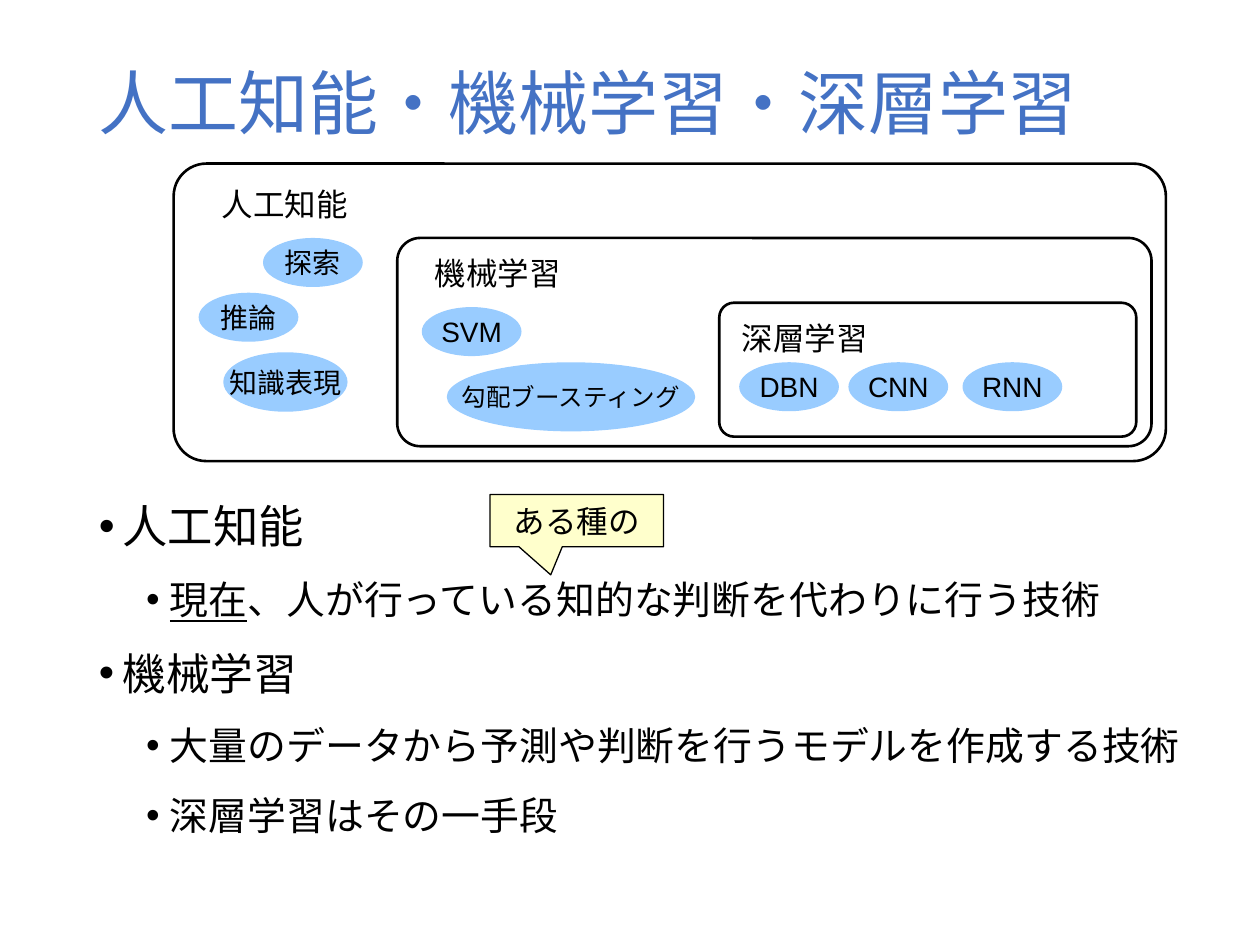
import pptx
import pptx.util
import pptx.dml.color
import pptx.enum.shapes
import pptx.enum.text
import lxml.etree

Pt = pptx.util.Pt
SHAPE = pptx.enum.shapes.MSO_SHAPE
ALIGN = pptx.enum.text.PP_ALIGN
ANCHOR = pptx.enum.text.MSO_ANCHOR
COLORS = {"title": "4472C4", "ink": "000000", "oval": "99CCFF", "note": "FFFFCC"}
SANS, CJK = "Arial", "Noto Sans CJK JP"


class Deck:
    def __init__(self, wide, high):
        self.file = pptx.Presentation()
        self.file.slide_width, self.file.slide_height = Pt(wide), Pt(high)
        self.slide = self.file.slides.add_slide(self.file.slide_layouts[6])

    def color(self, name):
        return pptx.dml.color.RGBColor.from_string(COLORS[name])

    def style(self, para, size, face, color="ink"):
        para.font.size = Pt(size)
        para.font.name = face
        para.font.color.rgb = self.color(color)

    def text(self, box, words, size, face, color="ink", anchor=ANCHOR.TOP):
        frame = self.slide.shapes.add_textbox(*map(Pt, box)).text_frame
        frame.word_wrap = True
        frame.vertical_anchor = anchor
        para = frame.paragraphs[0]
        para.text = words
        self.style(para, size, face, color)
        return para

    def shape(self, kind, box, fill=None, line=None, adjust=()):
        shape = self.slide.shapes.add_shape(kind, *map(Pt, box))
        shape.shadow.inherit = False
        for place, value in enumerate(adjust):
            shape.adjustments[place] = value
        if fill:
            shape.fill.solid()
            shape.fill.fore_color.rgb = self.color(fill)
        else:
            shape.fill.background()
        if line:
            shape.line.color.rgb = self.color("ink")
            shape.line.width = Pt(line)
        else:
            shape.line.fill.background()
        return shape

    def label(self, shape, words, size, face):
        """Put centred, unwrapped text in a shape."""
        frame = shape.text_frame
        frame.word_wrap = False
        frame.vertical_anchor = ANCHOR.MIDDLE
        para = frame.paragraphs[0]
        para.text = words
        para.alignment = ALIGN.CENTER
        self.style(para, size, face)

    def group(self, box, words, spot):
        self.shape(SHAPE.ROUNDED_RECTANGLE, box, line=1.5, adjust=[0.11])
        self.text((*spot, 90, 34), words, 18, SANS)

    def oval(self, words, left, top, wide=57, high=28, size=16):
        shape = self.shape(SHAPE.OVAL, (left, top, wide, high), "oval")
        self.label(shape, words, size, SANS)

    def note(self, box, words, tip):
        shape = self.shape(SHAPE.RECTANGULAR_CALLOUT, box, "note", 0.75, tip)
        self.label(shape, words, 18, CJK)

    def bullets(self, box, items):
        """Each item is level, size and a list of (words, underlined)."""
        frame = self.slide.shapes.add_textbox(*map(Pt, box)).text_frame
        frame.word_wrap = True
        for place, (level, size, runs) in enumerate(items):
            para = frame.add_paragraph() if place else frame.paragraphs[0]
            para.level = level
            para.line_spacing = Pt(36)
            para.space_before = Pt(3.8 if level else 7.5)
            props = para._p.get_or_add_pPr()
            props.set("marL", str(Pt(13.5 + 27 * level)))
            props.set("indent", str(-Pt(13.5)))
            space = props.nsmap["a"]
            font = lxml.etree.SubElement(props, f"{{{space}}}buFont")
            font.set("typeface", SANS)
            mark = lxml.etree.SubElement(props, f"{{{space}}}buChar")
            mark.set("char", "•")
            self.style(para, size, CJK)
            for words, under in runs:
                run = para.add_run()
                run.text = words
                if under:
                    run.font.underline = True


def main():
    deck = Deck(720, 540)
    title = deck.text((49.5, 28.8, 621, 64.8), "人工知能・機械学習・深層学習",
                      40, CJK, "title", ANCHOR.MIDDLE)
    title.line_spacing = 0.9

    deck.bullets((49.5, 276.5, 637, 240), [
        (0, 25.9, [("人工知能", False)]),
        (1, 22.2, [("現在", True),
                   ("、人が行っている知的な判断を代わりに行う技術", False)]),
        (0, 25, [("機械学習", False)]),
        (1, 22.2, [("大量のデータから予測や判断を行うモデルを作成する技術", False)]),
        (1, 22.2, [("深層学習はその一手段", False)]),
    ])

    deck.group((99.2, 93.5, 567, 170), "人工知能", (119.5, 102.2))
    deck.group((227, 136, 431, 119), "機械学習", (241.2, 141.8))
    deck.group((411, 173, 238.3, 76.5), "深層学習", (416.9, 178.6))

    deck.oval("探索", 150.3, 136)
    deck.oval("推論", 113.5, 167.3)
    deck.oval("知識表現", 127.6, 201.3, 71, 34)
    deck.oval("SVM", 241, 175.5)
    deck.oval("勾配ブースティング", 255.3, 207, 142, 39.5, 14)
    for words, left in (("DBN", 422.4), ("CNN", 484.8), ("RNN", 550)):
        deck.oval(words, left, 207)

    deck.note((280, 282.6, 99.2, 29.8), "ある種の", (-0.15, 1.04))
    deck.file.save("out.pptx")


if __name__ == "__main__":
    main()
